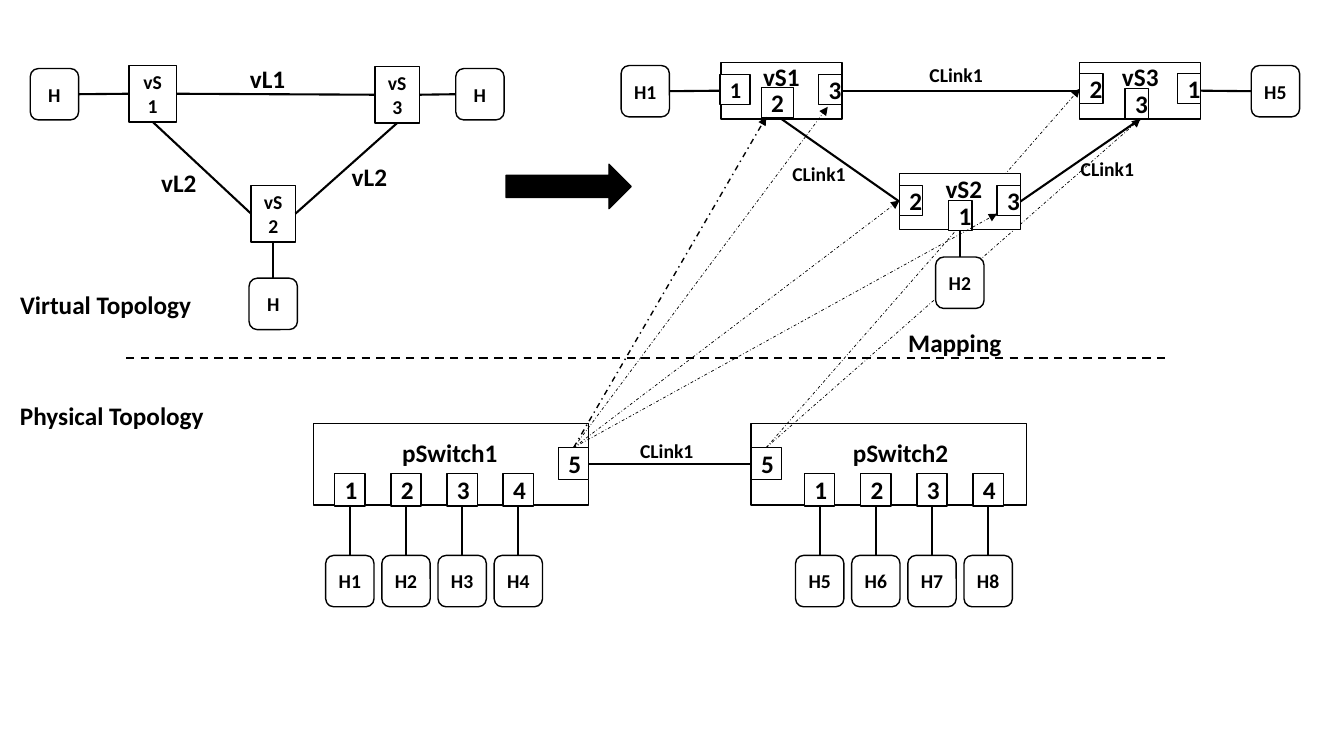
"""Builds a slide that maps a virtual network topology onto two physical switches."""
from lxml import etree
from pptx import Presentation
from pptx import util as u
from pptx.dml.color import RGBColor
from pptx.enum import dml, shapes, text
from pptx.oxml.ns import qn

color = RGBColor.from_string
UNIT = u.Inches(0.1)
BLACK, WHITE = "000000", "FFFFFF"
RECT = shapes.MSO_SHAPE.RECTANGLE
ROUND = shapes.MSO_SHAPE.ROUNDED_RECTANGLE
TOP, LEFT, BOTTOM, RIGHT = range(4)
HOST_WIDTH, HOST_HEIGHT = 4.8, 5.1

presentation = Presentation()
presentation.slide_width = u.Inches(13.33)
presentation.slide_height = u.Inches(7.5)
slide = presentation.slides.add_slide(presentation.slide_layouts[6])


def add_box(kind, left, top, width, height, label="", size=18, fill=WHITE):
    """Adds a preset shape, or a plain text box when kind is None, in grid units."""
    place = [int(length * UNIT) for length in (left, top, width, height)]
    if kind is None:
        shape = slide.shapes.add_textbox(*place)
        shape.text_frame.word_wrap = False
        shape.text_frame.auto_size = text.MSO_AUTO_SIZE.SHAPE_TO_FIT_TEXT
    else:
        shape = slide.shapes.add_shape(kind, *place)
        shape.shadow.inherit = False
        shape.fill.solid()
        shape.fill.fore_color.rgb = color(fill)
        shape.line.color.rgb = color(BLACK)
        shape.line.width = u.Pt(1)
        shape.text_frame.word_wrap = True
        shape.text_frame.vertical_anchor = text.MSO_ANCHOR.MIDDLE
    if label:
        paragraph = shape.text_frame.paragraphs[0]
        paragraph.alignment = text.PP_ALIGN.LEFT if kind is None else text.PP_ALIGN.CENTER
        run = paragraph.add_run()
        run.text = label
        run.font.name = "Calibri"
        run.font.size = u.Pt(size)
        run.font.bold = True
        run.font.color.rgb = color(BLACK)
    return shape


def add_line(start, end, weight=1.5, dash=None, arrow=False):
    """Adds a straight line; each end is a (shape, side) pair or a grid point."""
    line = slide.shapes.add_connector(shapes.MSO_CONNECTOR.STRAIGHT, 0, 0, 0, 0)
    if isinstance(start[0], (int, float)):
        line.begin_x, line.begin_y = [int(length * UNIT) for length in start]
    else:
        line.begin_connect(*start)
    if isinstance(end[0], (int, float)):
        line.end_x, line.end_y = [int(length * UNIT) for length in end]
    else:
        line.end_connect(*end)
    line.line.color.rgb = color(BLACK)
    line.line.width = u.Pt(weight)
    if dash:
        line.line.dash_style = dash
    if arrow:
        etree.SubElement(line.line._get_or_add_ln(), qn("a:tailEnd"), type="triangle")
    etree.SubElement(line._element.spPr, qn("a:effectLst"))


physical_switches, uplinks = [], []
for left, uplink_left, first_port, first_host in ((31.1, 55.4, 33.2, 1), (74.5, 74.5, 79.8, 5)):
    physical_switches.append(add_box(RECT, left, 42, 27.3, 8.1))
    uplinks.append(add_box(RECT, uplink_left, 44.4, 3, 3.2, "5"))
    for index in range(4):
        port_left = first_port + 5.57 * index
        port = add_box(RECT, port_left, 47, 3, 3.2, str(index + 1))
        host = add_box(ROUND, port_left - 0.9, 55.1, HOST_WIDTH, HOST_HEIGHT,
                       f"H{first_host + index}", 14)
        add_line((port, BOTTOM), (host, TOP))
add_line((physical_switches[0], RIGHT), (physical_switches[1], LEFT))
add_line((12.5, 35.5), (116.2, 35.5), dash=dml.MSO_LINE.DASH)

virtual_1 = add_box(RECT, 12.8, 6.5, 4.7, 5.6, "vS1", 14)
virtual_3 = add_box(RECT, 37.2, 6.6, 4.4, 5.6, "vS3", 14)
virtual_2 = add_box(RECT, 24.9, 18.4, 4.4, 5.6, "vS2", 14)
virtual_hosts = [add_box(ROUND, left, top, HOST_WIDTH, HOST_HEIGHT, "H", 14)
                 for left, top in ((3, 6.8), (24.7, 27.6), (45.2, 6.8))]
for start, end in (
    ((virtual_1, RIGHT), (virtual_3, LEFT)),
    ((virtual_1, BOTTOM), (virtual_2, LEFT)),
    ((virtual_2, RIGHT), (virtual_3, BOTTOM)),
    ((virtual_hosts[0], RIGHT), (virtual_1, LEFT)),
    ((virtual_3, RIGHT), (virtual_hosts[2], LEFT)),
    ((virtual_2, BOTTOM), (virtual_hosts[1], TOP)),
):
    add_line(start, end)
add_box(shapes.MSO_SHAPE.RIGHT_ARROW, 50.2, 16.3, 12.4, 4.4, fill=BLACK)

mapped_1, mapped_3 = [add_box(RECT, left, 6.2, 12, 5.6) for left in (71.5, 107.1)]
host_1 = add_box(ROUND, 61.6, 6.5, HOST_WIDTH, HOST_HEIGHT, "H1", 14)
host_5 = add_box(ROUND, 124.1, 6.5, HOST_WIDTH, HOST_HEIGHT, "H5", 14)
add_line((host_1, RIGHT), (mapped_1, LEFT))
add_line((mapped_3, RIGHT), (host_5, LEFT))
add_line((mapped_1, RIGHT), (mapped_3, LEFT))
upper_ports = [add_box(RECT, left, top, width, 3, label, size)
               for left, top, width, label, size in (
                   (71.4, 7.4, 3, "1", 16), (75.5, 8.7, 3.2, "2", 18), (81.2, 7.4, 2.3, "3", 18),
                   (107.1, 7.3, 2.3, "2", 18), (111.6, 8.8, 2.3, "3", 18),
                   (116.8, 7.3, 2.3, "1", 18))]
for end in ((upper_ports[3], LEFT), (mapped_3, BOTTOM)):
    add_line((uplinks[1], TOP), end, 0.5, dml.MSO_LINE.DASH_DOT, True)

mapped_2 = add_box(RECT, 89.2, 17.2, 12, 5.6)
host_2 = add_box(ROUND, 92.8, 25.5, HOST_WIDTH, HOST_HEIGHT, "H2", 14)
add_line((host_2, TOP), (mapped_2, BOTTOM))
add_line((mapped_1, BOTTOM), (mapped_2, LEFT))
add_line((mapped_2, RIGHT), (mapped_3, BOTTOM))
lower_ports = [add_box(RECT, left, top, 2.3, 3, label)
               for left, top, label in ((89.2, 18.4, "2"), (98.9, 18.4, "3"), (94.1, 19.9, "1"))]
for end, weight in (((76, 11.6), 1), ((82.1, 10.6), 0.5),
                    ((lower_ports[0], LEFT), 0.5), ((98.9, 21.2), 0.5)):
    add_line((uplinks[0], TOP), end, weight, dml.MSO_LINE.DASH_DOT, True)

for label, left, top, width in (
    ("pSwitch1", 38.9, 42.9, 11.6), ("pSwitch2", 83.6, 42.9, 11.6),
    ("Physical Topology", 1, 39.2, 20.4), ("Virtual Topology", 1, 28.2, 19.1),
    ("Mapping", 89.1, 32, 11.3),
    ("vS1", 74.7, 5.6, 5.7), ("vS2", 92.8, 16.7, 5.7), ("vS3", 110.3, 5.6, 5.7),
    ("vL1", 23.8, 5.8, 5.5), ("vL2", 33.9, 15.5, 5.5), ("vL2", 15, 16.1, 5.5),
):
    add_box(None, left, top, width, 4, label)
for left, top in ((62.5, 43.1), (77.6, 15.6), (91.2, 5.8), (106.2, 15.1)):
    add_box(None, left, top, 7.3, 3.4, "CLink1", 14)

presentation.save("out.pptx")
